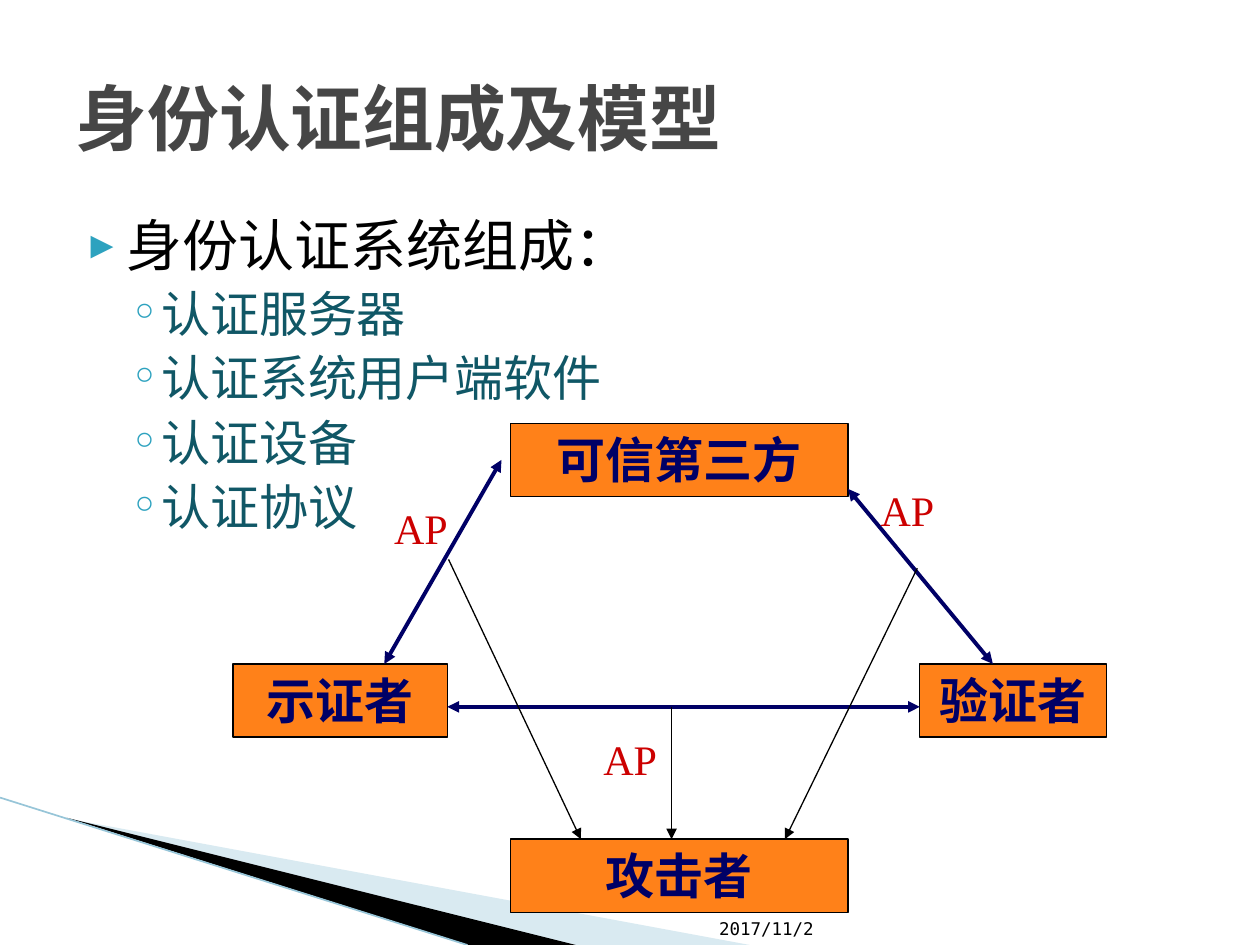
"""Build the slide on the parts and model of identity authentication."""
from dataclasses import dataclass

from pptx import Presentation
from pptx.dml.color import RGBColor
from pptx.enum.shapes import MSO_CONNECTOR as Connector, MSO_SHAPE as Preset
from pptx.enum.text import MSO_ANCHOR as Anchor, MSO_AUTO_SIZE as AutoSize, PP_ALIGN as Align
from pptx.oxml.ns import qn
from pptx.util import Inches, Pt
from lxml.etree import SubElement


@dataclass(frozen=True)
class Theme:
    """Hold the colours, fonts and type sizes."""
    sans: str = "DejaVu Sans Mono"
    serif: str = "Times New Roman"
    black: str = "000000"
    title: str = "464646"
    item: str = "105766"
    bullet: str = "2DA2BF"
    node: str = "FF8119"
    navy: str = "000066"
    label: str = "CC0000"
    wedge: str = "A0CBDC"
    edge: str = "97C5D8"
    title_size: float = 41
    lead_size: float = 32
    item_size: float = 28
    label_size: float = 24
    date_size: float = 10


@dataclass(frozen=True)
class Node:
    """Describe one party of the model."""
    text: str
    left: float
    top: float
    width: float
    height: float = 0.58


@dataclass(frozen=True)
class Link:
    """Describe one arrow between two points."""
    start: tuple[float, float]
    end: tuple[float, float]


@dataclass(frozen=True)
class Label:
    """Describe the place of one protocol label."""
    left: float
    top: float
    width: float


THEME = Theme()
NODES = [
    Node("示证者", 1.85, 5.27, 1.7),
    Node("可信第三方", 4.05, 3.36, 2.68),
    Node("验证者", 7.3, 5.27, 1.48),
    Node("攻击者", 4.05, 6.66, 2.68),
]
EXCHANGES = [
    Link((3.05, 5.27), (3.98, 3.65)),
    Link((3.55, 5.61), (7.3, 5.61)),
    Link((6.73, 3.88), (7.88, 5.27)),
]
ATTACKS = [
    Link((5.33, 5.61), (5.33, 6.66)),
    Link((3.56, 4.44), (4.61, 6.66)),
    Link((7.28, 4.51), (6.23, 6.66)),
]
LABELS = [Label(3.03, 3.94, 0.87), Label(4.69, 5.77, 1.65), Label(6.89, 3.8, 1.65)]
ITEMS = ["认证服务器", "认证系统用户端软件", "认证设备", "认证协议"]


def write(para, text: str, *, size: float, color: str, font: str = THEME.sans,
          bold: bool = False, align: Align = Align.LEFT, before: float = 0) -> None:
    """Put formatted text into a paragraph."""
    para.alignment = align
    para.space_before = Pt(before)
    span = para.add_run()
    span.text = text
    span.font.name = font
    span.font.size = Pt(size)
    span.font.bold = bold
    span.font.color.rgb = RGBColor.from_string(color)


def place(shape, left: float, top: float, width: float, height: float) -> None:
    """Move and size a shape."""
    shape.left, shape.top = Inches(left), Inches(top)
    shape.width, shape.height = Inches(width), Inches(height)


def add_bullet(para, char: str, margin: float, indent: float, percent: int) -> None:
    """Give a paragraph a coloured bullet and hanging indent."""
    props = para._p.get_or_add_pPr()
    props.set("marL", str(Inches(margin)))
    props.set("indent", str(Inches(indent)))
    color = SubElement(props, qn("a:buClr"))
    SubElement(color, qn("a:srgbClr"), val=THEME.bullet)
    SubElement(props, qn("a:buSzPct"), val=str(percent * 1000))
    SubElement(props, qn("a:buFont"), typeface=THEME.sans)
    SubElement(props, qn("a:buChar"), char=char)


def add_wedge(page, points: list[tuple[float, float]], color: str, opacity: int = 100) -> None:
    """Draw a filled corner wedge."""
    corners = [(Inches(x), Inches(y)) for x, y in points]
    builder = page.shapes.build_freeform(*corners[0])
    builder.add_line_segments(corners[1:])
    wedge = builder.convert_to_shape()
    wedge.shadow.inherit = False
    wedge.fill.solid()
    wedge.fill.fore_color.rgb = RGBColor.from_string(color)
    wedge.line.fill.background()
    if opacity < 100:
        tint = wedge._element.spPr.find(f"{qn('a:solidFill')}/{qn('a:srgbClr')}")
        SubElement(tint, qn("a:alpha"), val=str(opacity * 1000))


def add_line(page, link: Link, color: str, width: float, ends: tuple[str, ...] = ()) -> None:
    """Draw a straight line with arrowheads at the named ends."""
    line = page.shapes.add_connector(
        Connector.STRAIGHT, *(Inches(value) for value in link.start + link.end))
    line.line.color.rgb = RGBColor.from_string(color)
    line.line.width = Pt(width)
    for end in ends:
        SubElement(line.line._get_or_add_ln(), qn(f"a:{end}"), type="triangle")
    SubElement(line._element.spPr, qn("a:effectLst"))


def add_node(page, node: Node) -> None:
    """Draw one party as a labelled rectangle."""
    box = page.shapes.add_shape(Preset.RECTANGLE, 0, 0, 0, 0)
    place(box, node.left, node.top, node.width, node.height)
    box.shadow.inherit = False
    box.fill.solid()
    box.fill.fore_color.rgb = RGBColor.from_string(THEME.node)
    box.line.color.rgb = RGBColor.from_string(THEME.black)
    box.line.width = Pt(0.75)
    frame = box.text_frame
    frame.word_wrap = True
    frame.auto_size = AutoSize.SHAPE_TO_FIT_TEXT
    frame.vertical_anchor = Anchor.TOP
    write(frame.paragraphs[0], node.text, size=THEME.item_size, color=THEME.navy,
          font=THEME.serif, bold=True, align=Align.CENTER)


def add_text(page, label: Label, height: float, text: str, anchor: Anchor, **style) -> None:
    """Add a wrapped text box."""
    box = page.shapes.add_textbox(0, 0, 0, 0)
    place(box, label.left, label.top, label.width, height)
    box.text_frame.word_wrap = True
    box.text_frame.vertical_anchor = anchor
    write(box.text_frame.paragraphs[0], text, **style)


def fill_placeholders(page) -> None:
    """Write the title and the bulleted list."""
    title, body = page.shapes.title, page.placeholders[1]
    place(title, 0.5, 0.3, 9, 1.25)
    title.text_frame.vertical_anchor = Anchor.MIDDLE
    write(title.text_frame.paragraphs[0], "身份认证组成及模型",
          size=THEME.title_size, color=THEME.title, bold=True)
    place(body, 0.5, 1.62, 9, 4.95)
    frame = body.text_frame
    lead = frame.paragraphs[0]
    add_bullet(lead, "▶", 0.4, -0.28, 68)
    write(lead, "身份认证系统组成：", size=THEME.lead_size, color=THEME.black)
    for item in ITEMS:
        para = frame.add_paragraph()
        para.level = 1
        add_bullet(para, "◦", 0.68, -0.25, 100)
        write(para, item, size=THEME.item_size, color=THEME.item, before=3.2)


def main() -> None:
    """Build and save the deck."""
    deck = Presentation()
    deck.slide_width, deck.slide_height = Inches(10), Inches(7.5)
    page = deck.slides.add_slide(deck.slide_layouts[1])
    add_wedge(page, [(0.55, 6.5), (5.95, 7.5), (4.56, 7.5)], THEME.wedge, 40)
    add_wedge(page, [(0.53, 6.49), (4.57, 7.5), (3.72, 7.5)], THEME.black)
    add_line(page, Link((0, 6.33), (3.71, 7.5)), THEME.edge, 0.95)
    fill_placeholders(page)
    add_text(page, Label(5.61, 7.01, 1.12), 0.49, "2017/11/2", Anchor.BOTTOM,
             size=THEME.date_size, color=THEME.black)
    for node in NODES:
        add_node(page, node)
    for link in EXCHANGES:
        add_line(page, link, THEME.navy, 2.25, ("headEnd", "tailEnd"))
    for link in ATTACKS:
        add_line(page, link, THEME.black, 0.75, ("tailEnd",))
    for label in LABELS:
        add_text(page, label, 0.5, "AP", Anchor.TOP, size=THEME.label_size,
                 color=THEME.label, font=THEME.serif)
    deck.save("out.pptx")


if __name__ == "__main__":
    main()
